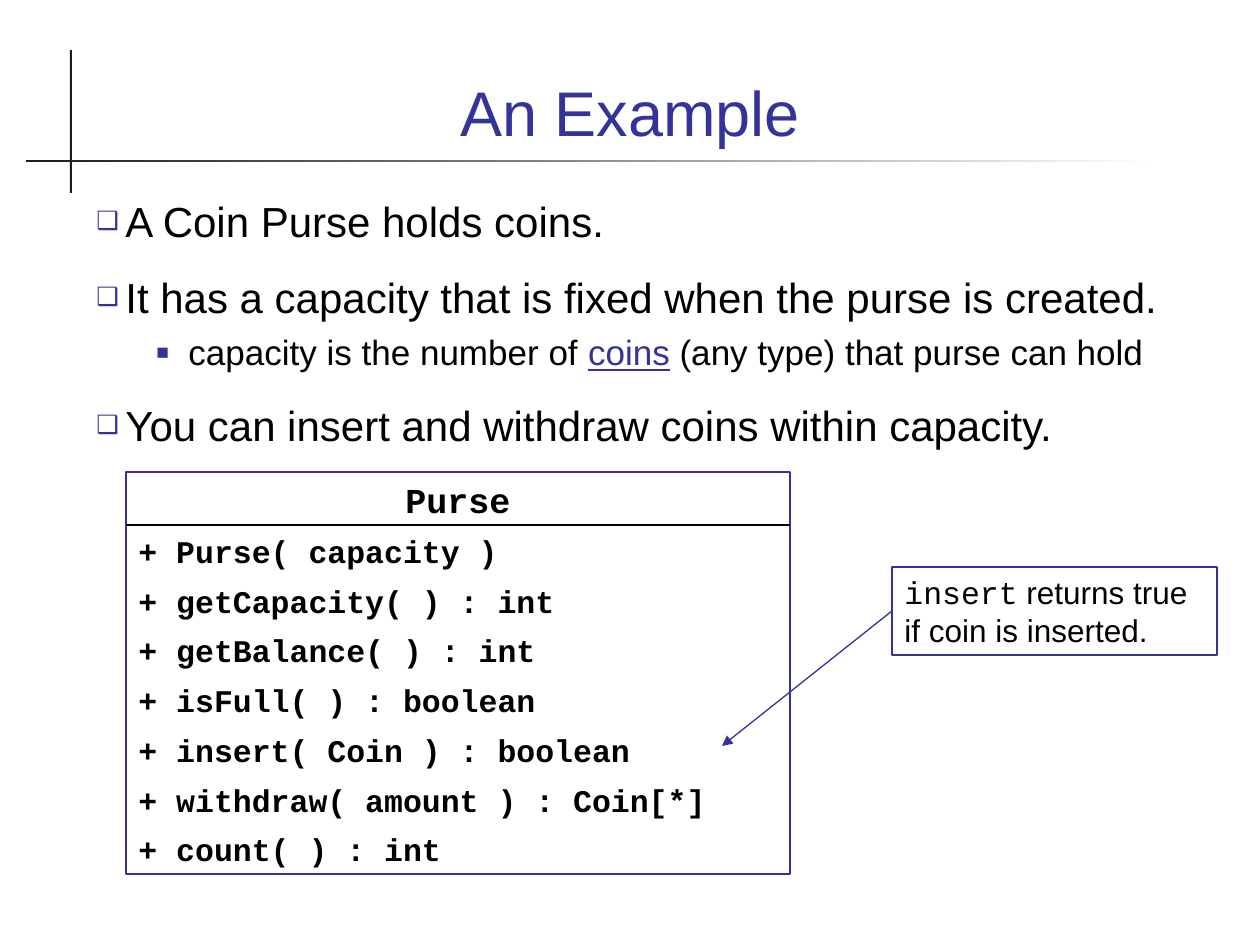
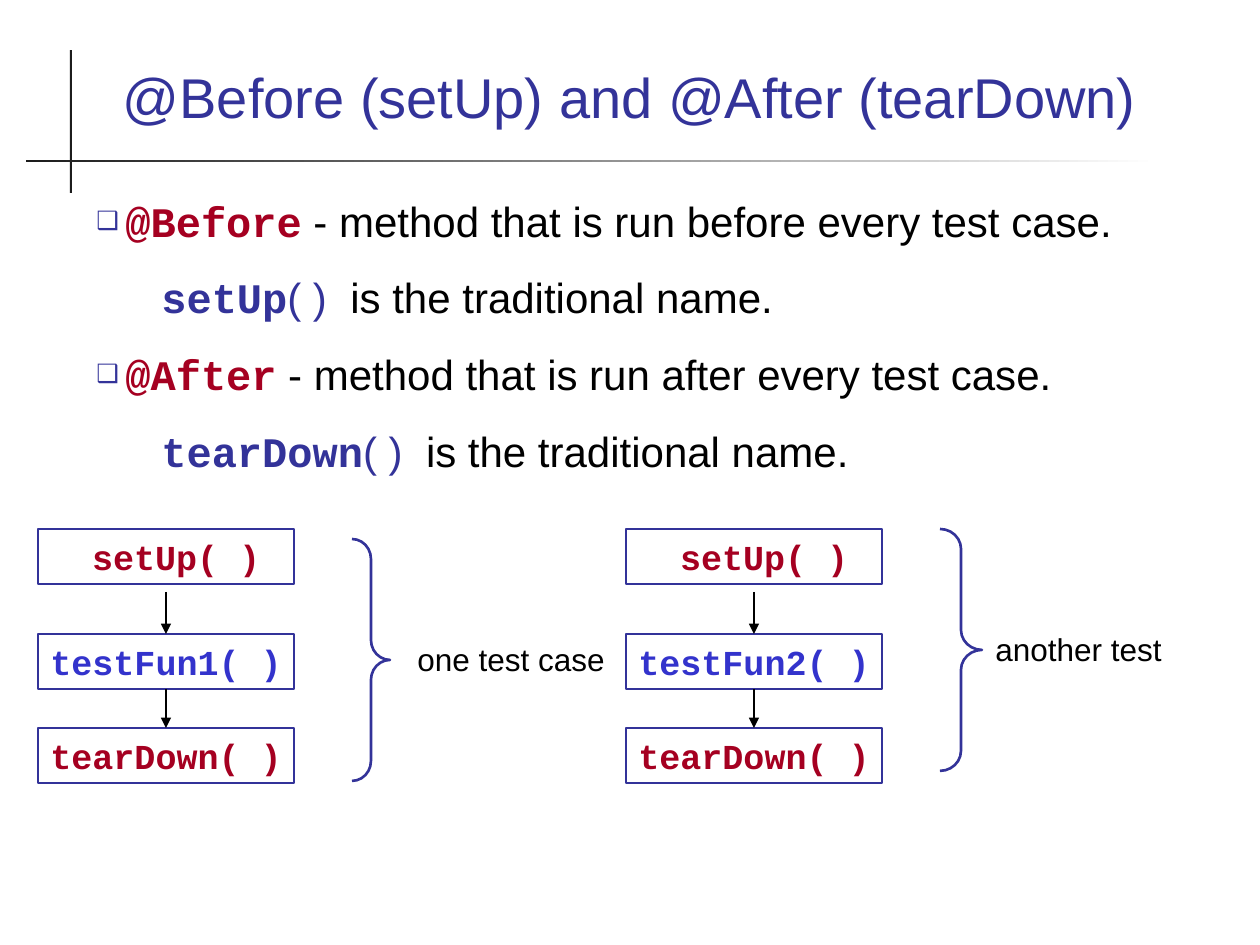
from lxml.etree import SubElement
from pptx import Presentation
from pptx.dml.color import RGBColor
from pptx.enum.shapes import MSO_CONNECTOR, MSO_SHAPE
from pptx.enum.text import MSO_ANCHOR, MSO_AUTO_SIZE, PP_ALIGN
from pptx.oxml.ns import qn
from pptx.util import Emu, Pt

NAVY = RGBColor(0x33, 0x33, 0x99)
BLUE = RGBColor(0x33, 0x33, 0xCC)
RED = RGBColor(0xA5, 0x00, 0x21)
BLACK = RGBColor(0x00, 0x00, 0x00)
WHITE = RGBColor(0xFF, 0xFF, 0xFF)
DARK = RGBColor(0x1C, 0x1C, 0x1C)
SANS, MONO = "Arial", "Courier New"
PX = 914400 / 126

# Run styles: size, font, colour, bold, underline
BODY = (24, SANS, BLACK, False, False)
SUB = (20, SANS, BLACK, False, False)
LINK = (20, SANS, NAVY, False, True)
NOTE = (18, SANS, BLACK, False, False)
CODE = (18, MONO, BLACK, False, False)
ITEM = (18, MONO, BLACK, True, False)
NAME = (20, MONO, BLACK, True, False)
TAG = (24, MONO, RED, True, False)
CALL = (24, MONO, NAVY, True, False)
PAREN = (24, SANS, NAVY, False, False)
FIX = (20, MONO, RED, True, False)
TEST = (20, MONO, BLUE, True, False)

# Paragraph styles: left, hang, bullet, points before
PLAIN = (0, 0, None, 0)
MAIN = (29, 29, "❑", 15)
POINT = (92, 32, "■", 5)
INNER = (65, 0, None, 15)
ROW = (0, 0, None, 6.8)


def add_box(slide, area, paras, edge=None):
    """Add a text rectangle; edge is its outline width in points."""
    box = slide.shapes.add_shape(MSO_SHAPE.RECTANGLE, *[Emu(round(n * PX)) for n in area])
    box.shadow.inherit = False
    box.fill.background()
    if edge:
        box.line.color.rgb = NAVY
        box.line.width = Pt(edge)
    else:
        box.line.fill.background()
    frame = box.text_frame
    frame.word_wrap = True
    frame.vertical_anchor = MSO_ANCHOR.TOP
    for i, ((left, hang, mark, before), runs) in enumerate(paras):
        para = frame.add_paragraph() if i else frame.paragraphs[0]
        para.alignment = PP_ALIGN.LEFT
        para.space_before = Pt(before if i else 0)
        props = para._p.get_or_add_pPr()
        props.set("marL", str(round(left * PX)))
        props.set("indent", str(round(-hang * PX)))
        if mark:
            tint = SubElement(props, qn("a:buClr"))
            SubElement(tint, qn("a:srgbClr"), val=str(NAVY))
            SubElement(props, qn("a:buSzPct"), val="60000")
            SubElement(props, qn("a:buFont"), typeface=SANS)
            SubElement(props, qn("a:buChar"), char=mark)
        for text, (size, face, color, bold, under) in runs:
            run = para.add_run()
            run.text = text
            font = run.font
            font.size, font.name, font.bold, font.underline = Pt(size), face, bold, under
            font.color.rgb = color
    return box


def add_line(slide, ends, color, width, arrow=True):
    line = slide.shapes.add_connector(MSO_CONNECTOR.STRAIGHT, *[Emu(round(n * PX)) for n in ends])
    line.line.color.rgb = color
    line.line.width = Pt(width)
    if arrow:
        SubElement(line.line._get_or_add_ln(), qn("a:tailEnd"), type="triangle")
    SubElement(line._element.spPr, qn("a:effectLst"))
    return line


deck = Presentation()
deck.slide_width, deck.slide_height = Emu(round(1260 * PX)), Emu(round(945 * PX))
layout = deck.slide_layouts[5]

# Titles
slides = []
for text, size, height in [
    ("An Example", 36, 120),
    ("@Before (setUp) and @After (tearDown)", 32, 101),
]:
    slide = deck.slides.add_slide(layout)
    title = slide.shapes.title
    title.left, title.top, title.width, title.height = [
        Emu(round(n * PX)) for n in (84, 35, 1092, height)]
    frame = title.text_frame
    frame.auto_size = MSO_AUTO_SIZE.NONE
    frame.vertical_anchor = MSO_ANCHOR.BOTTOM
    para = frame.paragraphs[0]
    para.alignment = PP_ALIGN.CENTER
    run = para.add_run()
    run.text = text
    run.font.size, run.font.name = Pt(size), SANS
    run.font.color.rgb = NAVY
    slides.append(slide)
purse, tests = slides

# Crossed bars, moved to the shared layout
post = add_box(purse, (70, 50, 2, 143), [])
post.fill.solid()
post.fill.fore_color.rgb = DARK
rule = add_box(purse, (26, 160, 1132, 2), [])
rule.fill.gradient()
rule.fill.gradient_angle = 0
for stop, color in zip(rule.fill.gradient_stops, (DARK, WHITE)):
    stop.color.rgb = color
for bar in (post, rule):
    layout.shapes.element.append(bar._element)

# Slide 1: the purse class
add_box(purse, (84, 189, 1092, 283), [
    (MAIN, [("A Coin Purse holds coins.", BODY)]),
    (MAIN, [("It has a capacity that is fixed when the purse is created.", BODY)]),
    (POINT, [("capacity is the number of ", SUB), ("coins", LINK),
             (" (any type) that purse can hold", SUB)]),
    (MAIN, [("You can insert and withdraw coins within capacity.", BODY)]),
])
methods = ["Purse( capacity )", "getCapacity( ) : int", "getBalance( ) : int",
           "isFull( ) : boolean", "insert( Coin ) : boolean",
           "withdraw( amount ) : Coin[*]", "count( ) : int"]
card = add_box(purse, (126, 472, 664, 402), [(PLAIN, [("Purse", NAME)])]
               + [(ROW, [("+ " + name, ITEM)]) for name in methods], 1.5)
card.text_frame.paragraphs[0].alignment = PP_ALIGN.CENTER
add_line(purse, (126, 525, 790, 525), BLACK, 0.75, False)
note = add_box(purse, (892, 567, 325, 88), [
    (PLAIN, [("insert", CODE), (" returns true if coin is inserted.", NOTE)])], 0.75)
hint = add_line(purse, (892, 611, 722, 746), NAVY, 0.75)
hint.begin_connect(note, 1)

# Slide 2: what runs around each test
lines = []
for tag, when, call in [("@Before", "before", "setUp"), ("@After", "after", "tearDown")]:
    lines.append((MAIN, [(tag, TAG), (f" - method that is run {when} every test case.", BODY)]))
    lines.append((INNER, [(call, CALL), ("( )", PAREN), (" ", BODY),
                          ("is the traditional name.", BODY)]))
body = add_box(tests, (84, 189, 1092, 315), lines)
for para in body.text_frame.paragraphs[1::2]:
    para.runs[2].font._element.set("spc", "670")  # widens the gap after the call

for left, test, brace, label, where in [
    (38, "testFun1( )", (352, 539, 38, 242), "one test case", (405, 634, 242, 50)),
    (626, "testFun2( )", (940, 529, 42, 242), "another test", (983, 624, 273, 50)),
]:
    steps = []
    for top, text, style in [(529, "setUp( )", FIX), (634, test, TEST), (728, "tearDown( )", FIX)]:
        step = add_box(tests, (left, top, 256, 55), [(PLAIN, [(text, style)])], 1)
        step.text_frame.margin_right = 0
        steps.append(step)
    steps[0].text_frame.margin_left = Emu(round(54 * PX))
    mid = left + 128
    add_line(tests, (mid, 592, mid, 634), BLACK, 1.5).end_connect(steps[1], 0)
    link = add_line(tests, (mid, 689, mid, 728), BLACK, 1.5)
    link.begin_connect(steps[1], 2)
    link.end_connect(steps[2], 0)
    curve = tests.shapes.add_shape(MSO_SHAPE.RIGHT_BRACE, *[Emu(round(n * PX)) for n in brace])
    curve.shadow.inherit = False
    curve.fill.background()
    curve.line.color.rgb = NAVY
    curve.line.width = Pt(1.5)
    curve.adjustments[0] = 20 / brace[2]
    add_box(tests, where, [(PLAIN, [(label, NOTE)])])

deck.save("out.pptx")
